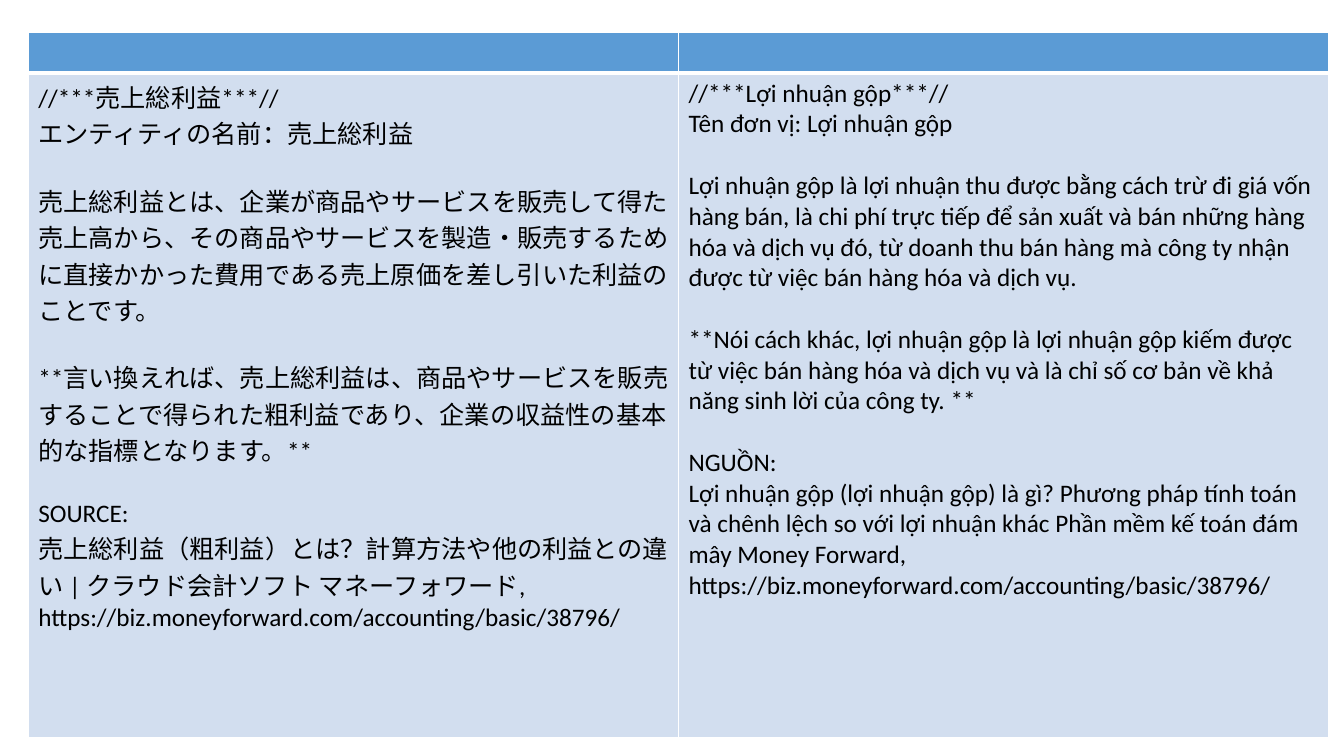
"""Build a slide with a bilingual table that defines gross profit."""
from dataclasses import dataclass

from lxml import etree
from pptx import Presentation
from pptx.dml.color import RGBColor
from pptx.oxml.ns import qn
from pptx.util import Inches, Pt


@dataclass(frozen=True)
class Theme:
    """Colours, font and sizes of the slide."""
    header: str = "5B9BD5"
    body: str = "D2DEEF"
    border: str = "FFFFFF"
    text: str = "000000"
    font: str = "Calibri"
    size: int = 18
    section_gap: int = 22
    thin: int = 1
    thick: int = 3


THEME = Theme()
SOURCE_URL = "https://biz.moneyforward.com/accounting/basic/38796/"

JAPANESE = [
    ["//***売上総利益***//", "エンティティの名前：売上総利益"],
    ["売上総利益とは、企業が商品やサービスを販売して得た売上高から、その商品やサービスを"
     "製造・販売するために直接かかった費用である売上原価を差し引いた利益のことです。"],
    ["**言い換えれば、売上総利益は、商品やサービスを販売することで得られた粗利益であり、"
     "企業の収益性の基本的な指標となります。**"],
    ["SOURCE:",
     "売上総利益（粗利益）とは？計算方法や他の利益との違い | "
     "クラウド会計ソフト マネーフォワード,",
     SOURCE_URL],
]

VIETNAMESE = [
    ["//***Lợi nhuận gộp***//", "Tên đơn vị: Lợi nhuận gộp"],
    ["Lợi nhuận gộp là lợi nhuận thu được bằng cách trừ đi giá vốn hàng bán, "
     "là chi phí trực tiếp để sản xuất và bán những hàng hóa và dịch vụ đó, "
     "từ doanh thu bán hàng mà công ty nhận được từ việc bán hàng hóa và dịch vụ."],
    ["**Nói cách khác, lợi nhuận gộp là lợi nhuận gộp kiếm được từ việc bán hàng hóa "
     "và dịch vụ và là chỉ số cơ bản về khả năng sinh lời của công ty. **"],
    ["NGUỒN:",
     "Lợi nhuận gộp (lợi nhuận gộp) là gì? Phương pháp tính toán và chênh lệch "
     "so với lợi nhuận khác Phần mềm kế toán đám mây Money Forward,",
     SOURCE_URL],
]


def style_cell(cell, colour, top, bottom):
    """Give a cell its borders, in points, and its fill."""
    properties = cell._tc.get_or_add_tcPr()
    widths = {"a:lnL": THEME.thin, "a:lnR": THEME.thin, "a:lnT": top, "a:lnB": bottom}
    for side, width in widths.items():
        line = etree.SubElement(properties, qn(side), w=str(Pt(width)))
        line_fill = etree.SubElement(line, qn("a:solidFill"))
        etree.SubElement(line_fill, qn("a:srgbClr"), val=THEME.border)
    cell.fill.solid()
    cell.fill.fore_color.rgb = RGBColor.from_string(colour)


def write_sections(cell, sections):
    """Write the sections into a cell, with a gap before each later one."""
    frame = cell.text_frame
    frame.text = "\n".join(line for section in sections for line in section)
    paragraphs = iter(frame.paragraphs)
    for section_index, section in enumerate(sections):
        for line_index in range(len(section)):
            paragraph = next(paragraphs)
            paragraph.font.name = THEME.font
            paragraph.font.size = Pt(THEME.size)
            paragraph.font.color.rgb = RGBColor.from_string(THEME.text)
            if section_index and not line_index:
                paragraph.space_before = Pt(THEME.section_gap)


def add_definition_table(slide, languages):
    """Add the table with an empty header and one column per language."""
    table = slide.shapes.add_table(
        2, len(languages), Inches(0.28), Inches(0.32), Inches(12.9), Inches(6.99)
    ).table
    header, body = table.rows
    header.height = Inches(0.4)
    body.height = Inches(6.59)
    for column, sections in enumerate(languages):
        style_cell(table.cell(0, column), THEME.header, THEME.thin, THEME.thick)
        definition = table.cell(1, column)
        style_cell(definition, THEME.body, THEME.thick, THEME.thin)
        write_sections(definition, sections)


def main():
    """Build and save the presentation."""
    presentation = Presentation()
    presentation.slide_width = Inches(13.33)
    presentation.slide_height = Inches(7.5)
    slide = presentation.slides.add_slide(presentation.slide_layouts[6])
    add_definition_table(slide, [JAPANESE, VIETNAMESE])
    presentation.save("out.pptx")


if __name__ == "__main__":
    main()
